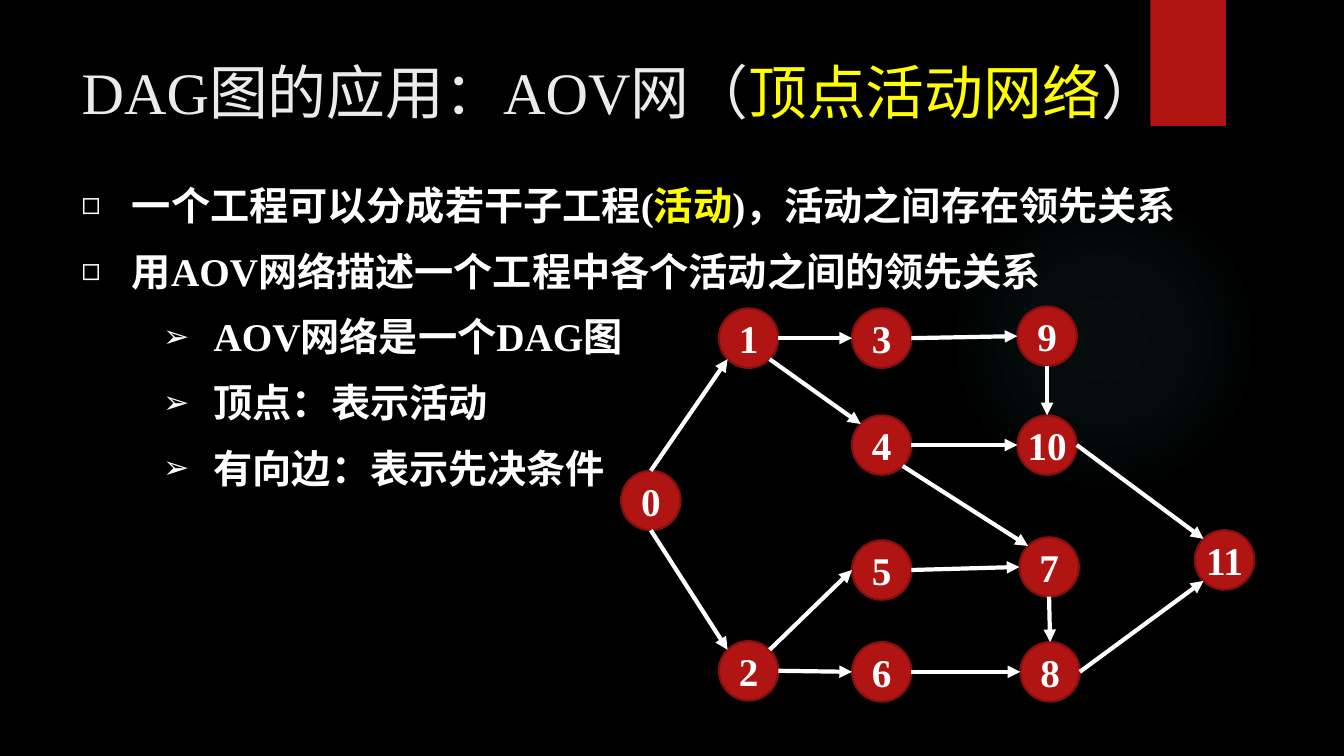
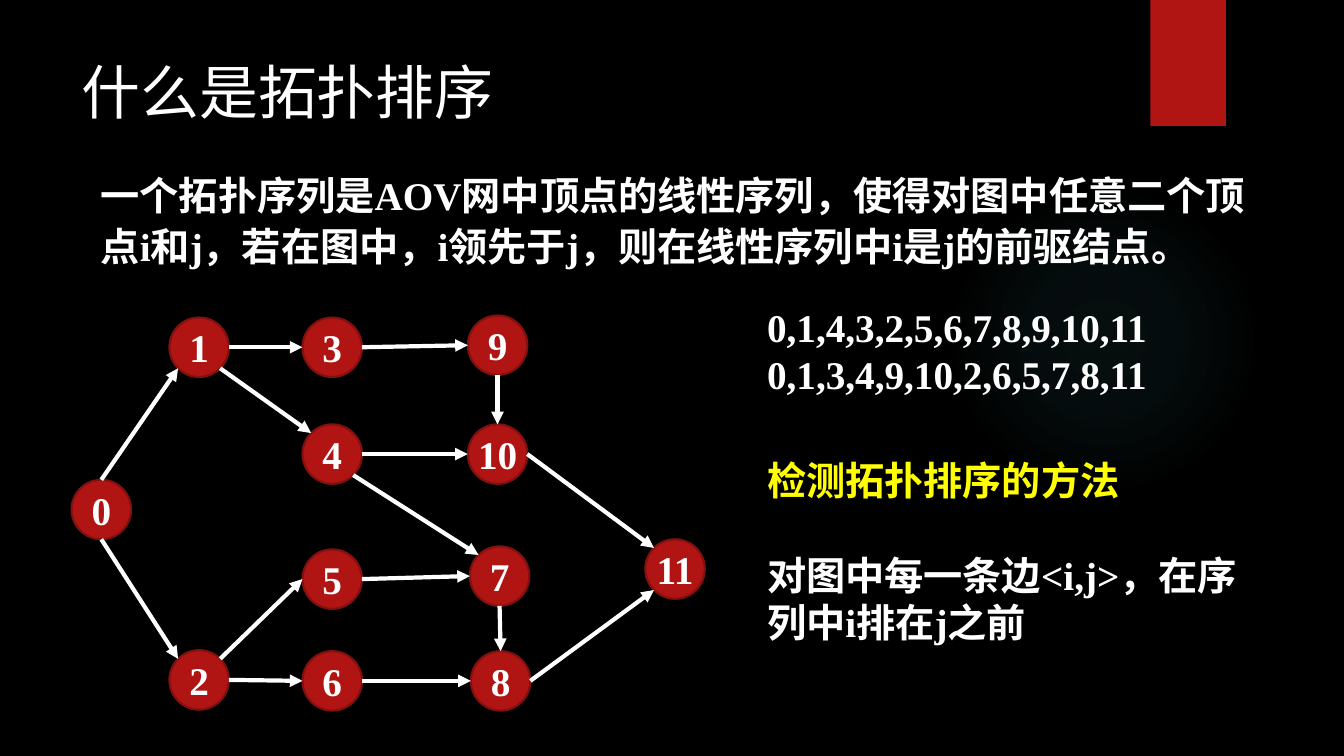
"""Build two slides on AOV networks and topological sorting."""
from math import cos, radians, sin

from lxml.etree import SubElement
from pptx import Presentation
from pptx.dml.color import RGBColor
from pptx.enum.shapes import MSO_CONNECTOR, MSO_SHAPE
from pptx.enum.text import MSO_ANCHOR, MSO_AUTO_SIZE, PP_ALIGN
from pptx.oxml import parse_xml
from pptx.oxml.ns import nsdecls, qn
from pptx.util import Inches, Pt

BLACK = RGBColor(0x00, 0x00, 0x00)
WHITE = RGBColor(0xFF, 0xFF, 0xFF)
LIGHT = RGBColor(0xEB, 0xEB, 0xEB)
YELLOW = RGBColor(0xFF, 0xFF, 0x00)
RED = RGBColor(0xB0, 0x15, 0x13)
DARK_RED = RGBColor(0x82, 0x10, 0x0E)
GLOW = RGBColor(0x50, 0xB9, 0xC1)
FONT = "Times New Roman"

DIAMETER = 0.59
NODES = {0: (6.16, 4.67), 1: (7.13, 3.06), 2: (7.13, 6.36), 3: (8.45, 3.06),
         4: (8.45, 4.12), 5: (8.45, 5.36), 6: (8.45, 6.37), 7: (10.11, 5.33),
         8: (10.12, 6.37), 9: (10.09, 3.04), 10: (10.09, 4.12), 11: (11.85, 5.26)}
ANGLES = {"E": 0, "SE": 45, "S": 90, "SW": 135, "W": 180, "NW": 225, "N": 270, "NE": 315}
EDGES = [(0, "N", 1, "SW"), (0, "S", 2, "NW"), (1, "SE", 4, "NW"), (1, "E", 3, "W"),
         (3, "E", 9, "W"), (4, "E", 10, "W"), (9, "S", 10, "N"), (4, "SE", 7, "NW"),
         (10, "E", 11, "NW"), (7, "S", 8, "N"), (5, "E", 7, "W"), (6, "E", 8, "W"),
         (2, "E", 6, "W"), (2, "NE", 5, "W"), (8, "E", 11, "SW")]


def write(p, text, size=28, color=WHITE, bold=True):
    r = p.add_run()
    r.text = text
    r.font.name = FONT
    r.font.size = Pt(size)
    r.font.bold = bold
    r.font.color.rgb = color


def text_box(s, left, top, width, height):
    tf = s.shapes.add_textbox(Inches(left), Inches(top), Inches(width), Inches(height)).text_frame
    tf.word_wrap = True
    return tf


prs = Presentation()
prs.slide_width, prs.slide_height = Inches(13.33), Inches(7.5)
fill = prs.slide_master.background.fill
fill.solid()
fill.fore_color.rgb = BLACK

layout = prs.slide_layouts[5]
for ph in list(layout.placeholders):
    if ph.placeholder_format.idx:
        ph.element.getparent().remove(ph.element)
    else:
        ph.left, ph.top = Inches(0.71), Inches(0.5)
        ph.width, ph.height = Inches(11.93), Inches(1.53)
        ph.text_frame.vertical_anchor = MSO_ANCHOR.TOP
        ph.text_frame.auto_size = MSO_AUTO_SIZE.NONE

aov = prs.slides.add_slide(layout)
topo = prs.slides.add_slide(layout)

glow = aov.shapes.add_shape(MSO_SHAPE.OVAL, Inches(9.41), Inches(1.83), Inches(3.08), Inches(3.08))
glow.fill.background()
stops = "".join(
    f'<a:gs pos="{pos}000"><a:srgbClr val="{GLOW}"><a:alpha val="{alpha}000"/></a:srgbClr></a:gs>'
    for pos, alpha in [(0, 7), (36, 6), (69, 0)])
spPr = glow.element.spPr
spPr.replace(spPr.find(qn("a:noFill")), parse_xml(
    f'<a:gradFill {nsdecls("a")}><a:gsLst>{stops}</a:gsLst><a:path path="circle">'
    '<a:fillToRect l="50000" t="50000" r="50000" b="50000"/></a:path></a:gradFill>'))
band = aov.shapes.add_shape(MSO_SHAPE.RECTANGLE, Inches(11.41), 0, Inches(0.75), Inches(1.25))
band.fill.solid()
band.fill.fore_color.rgb = RED
for i, sp in enumerate([glow, band]):
    sp.line.fill.background()
    sp.shadow.inherit = False
    layout.shapes.element.insert(2 + i, sp.element)

titles = [(aov, [("DAG图的应用：AOV网（", LIGHT), ("顶点活动网络", YELLOW), ("）", LIGHT)]),
          (topo, [("什么是拓扑排序", WHITE)])]
for s, parts in titles:
    p = s.shapes.title.text_frame.paragraphs[0]
    p.alignment = PP_ALIGN.LEFT
    for text, color in parts:
        write(p, text, size=42, color=color, bold=False)

points = [(0, [("一个工程可以分成若干子工程(", WHITE), ("活动", YELLOW),
               (")，活动之间存在领先关系", WHITE)]),
          (0, [("用AOV网络描述一个工程中各个活动之间的领先关系", WHITE)]),
          (1, [("AOV网络是一个DAG图", WHITE)]),
          (1, [("顶点：表示活动", WHITE)]),
          (1, [("有向边：表示先决条件", WHITE)])]
tf = text_box(aov, 0.71, 1.56, 12.09, 3.4)
for i, (level, parts) in enumerate(points):
    p = tf.add_paragraph() if i else tf.paragraphs[0]
    p.level = level
    p.line_spacing = 1.4
    for text, color in parts:
        write(p, text, color=color)
    pPr = p._p.get_or_add_pPr()
    pPr.set("marL", str(Inches((0.5, 1.31)[level])))
    pPr.set("indent", str(Inches(-0.5)))
    SubElement(pPr, qn("a:buSzPct")).set("val", "80000")
    SubElement(pPr, qn("a:buFont")).set("typeface", "Arial")
    SubElement(pPr, qn("a:buChar")).set("char", "◻➢"[level])

p = text_box(topo, 0.9, 1.6, 11.93, 1.2).paragraphs[0]
p.line_spacing = 1.1
write(p, "一个拓扑序列是AOV网中顶点的线性序列，使得对图中任意二个顶点i和j，"
         "若在图中，i领先于j，则在线性序列中i是j的前驱结点。")

for s, dx, dy in [(aov, 0, 0), (topo, -5.45, 0.09)]:
    graph = s.shapes.add_group_shape()
    for number, (x, y) in NODES.items():
        node = graph.shapes.add_shape(MSO_SHAPE.OVAL, Inches(x + dx), Inches(y + dy),
                                      Inches(DIAMETER), Inches(DIAMETER))
        node.shadow.inherit = False
        node.fill.solid()
        node.fill.fore_color.rgb = RED
        node.line.color.rgb = DARK_RED
        node.line.width = Pt(1.5)
        tf = node.text_frame
        tf.margin_left = tf.margin_right = tf.margin_top = tf.margin_bottom = 0
        tf.vertical_anchor = MSO_ANCHOR.MIDDLE
        tf.word_wrap = False
        p = tf.paragraphs[0]
        p.alignment = PP_ALIGN.CENTER
        write(p, str(number))
    for start, start_side, end, end_side in EDGES:
        ends = []
        for number, side in [(start, start_side), (end, end_side)]:
            x, y = NODES[number]
            angle = radians(ANGLES[side])
            ends += [Inches(x + dx + DIAMETER / 2 * (1 + cos(angle))),
                     Inches(y + dy + DIAMETER / 2 * (1 + sin(angle)))]
        edge = graph.shapes.add_connector(MSO_CONNECTOR.STRAIGHT, *ends)
        edge.line.color.rgb = WHITE
        edge.line.width = Pt(3)
        SubElement(edge.line._get_or_add_ln(), qn("a:tailEnd")).set("type", "triangle")
        SubElement(edge.element.spPr, qn("a:effectLst"))

tf = text_box(topo, 7.51, 2.96, 5.18, 1.04)
write(tf.paragraphs[0], "0,1,4,3,2,5,6,7,8,9,10,11")
write(tf.add_paragraph(), "0,1,3,4,9,10,2,6,5,7,8,11")

tf = text_box(topo, 7.51, 4.48, 4.9, 1.99)
write(tf.paragraphs[0], "检测拓扑排序的方法", color=YELLOW)
p = tf.add_paragraph()
p.space_before = Pt(34)
write(p, "对图中每一条边<i,j>，在序列中i排在j之前")

prs.save("out.pptx")
